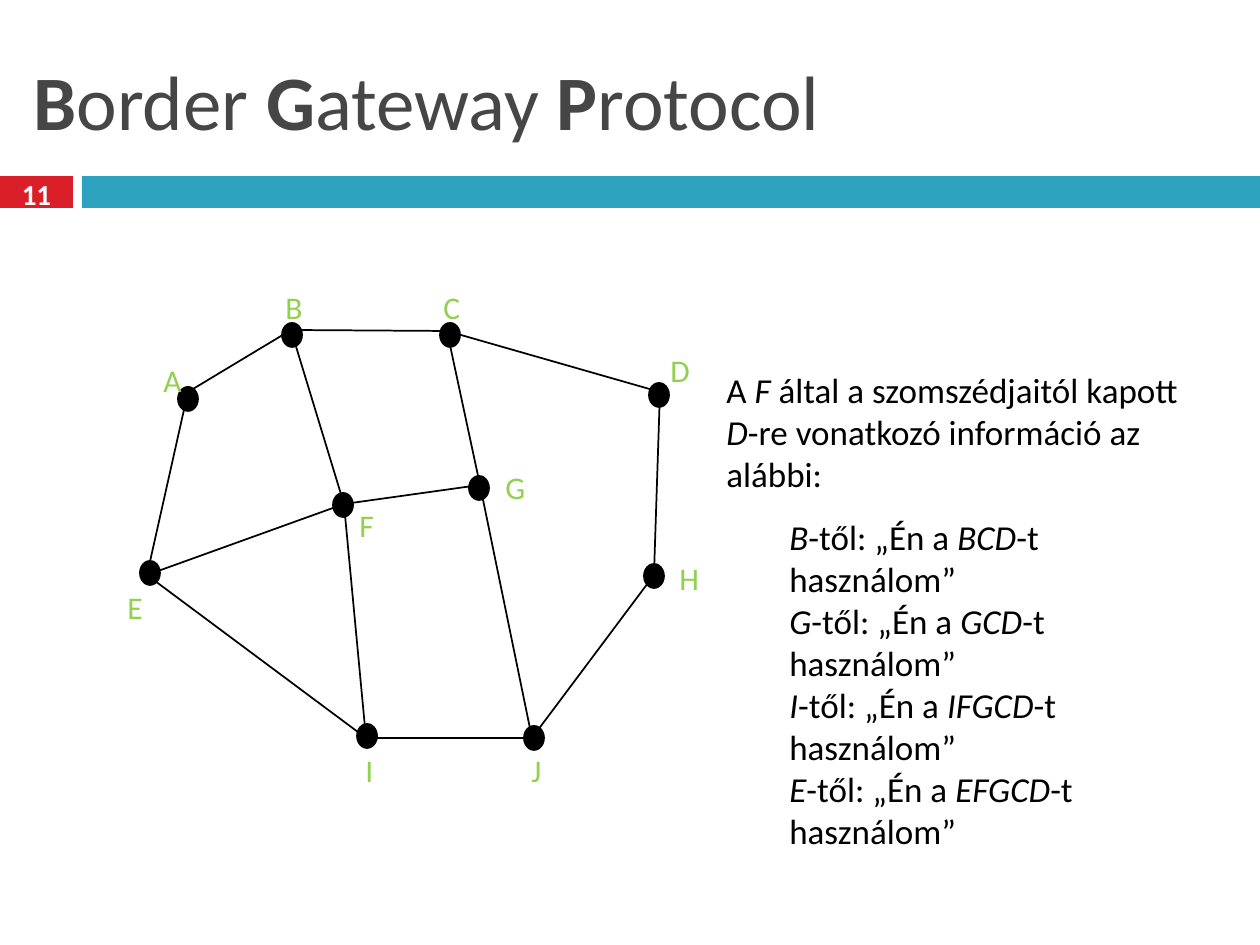
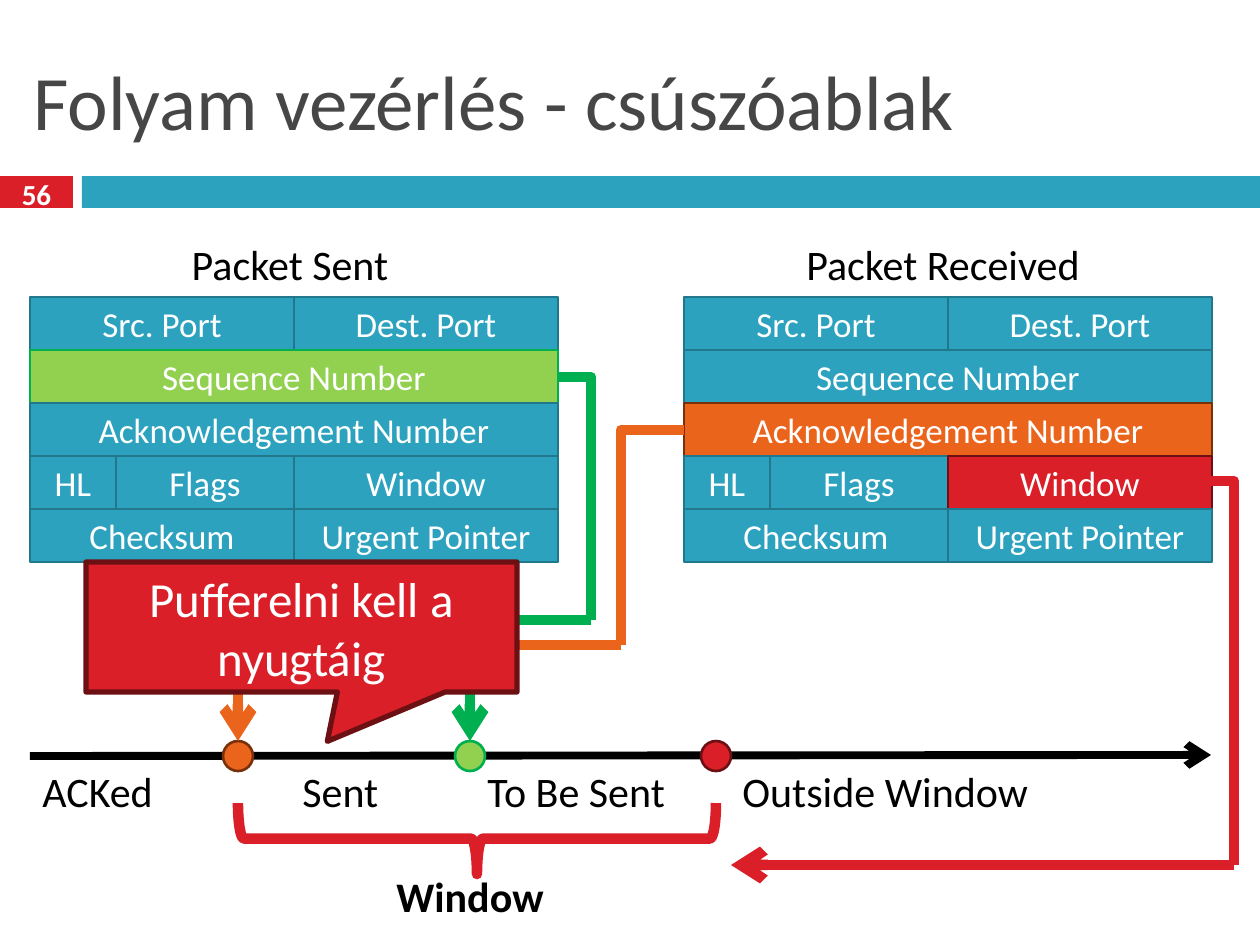
from pptx import Presentation
from pptx.dml.color import RGBColor
from pptx.enum.shapes import MSO_CONNECTOR, MSO_SHAPE
from pptx.enum.text import MSO_ANCHOR, MSO_AUTO_SIZE, PP_ALIGN
from pptx.oxml.ns import qn
from pptx.util import Emu, Pt
from lxml.etree import SubElement

EMU_PER_PX = 914400 / 126
SLIDE_WIDTH, SLIDE_HEIGHT = 1260, 945
FONT = "Calibri"
BLACK, WHITE, TITLE_GREY = "000000", "FFFFFF", "464646"
RED, DARK_RED = "DA1F28", "6D1014"
TEAL, DARK_TEAL = "2DA2BF", "21788D"
LIME, GREEN = "92D050", "00B050"
ORANGE, DARK_ORANGE = "EB641B", "78310B"

CENTERED = {"alignment": PP_ALIGN.CENTER}
TIGHT = {"word_wrap": False, "auto_size": MSO_AUTO_SIZE.SHAPE_TO_FIT_TEXT}
MIDDLE = {"word_wrap": True, "vertical_anchor": MSO_ANCHOR.MIDDLE}

# Router: line joint, dot centre, label left/top/width
ROUTERS = {
    "A": ((188, 392), (188, 399), (151, 355, 44)),
    "B": ((291, 330), (292, 335), (273, 282, 42)),
    "C": ((447, 331), (450, 335), (431, 282, 44)),
    "D": ((660, 392), (659, 395), (658, 345, 44)),
    "E": ((147, 575), (150, 573), (115, 582, 39)),
    "F": ((344, 504), (343, 505), (347, 500, 39)),
    "G": ((480, 485), (479, 488), (493, 462, 50)),
    "H": ((654, 575), (654, 576), (667, 553, 44)),
    "I": ((366, 738), (367, 736), (353, 745, 33)),
    "J": ((532, 738), (534, 738), (519, 745, 38)),
}
LINKS = "AE EI IJ EF AB BF FI BC FG CG GJ CD DH JH".split()

ROUTES = {"B": "BCD", "G": "GCD", "I": "IFGCD", "E": "EFGCD"}

# Header rows: field name and width
HEADER_ROWS = [
    [("Src. Port", 264), ("Dest. Port", 264)],
    [("Sequence Number", 528)],
    [("Acknowledgement Number", 528)],
    [("HL", 86), ("Flags", 178), ("Window", 264)],
    [("Checksum", 264), ("Urgent Pointer", 264)],
]


def px(length):
    return Emu(round(length * EMU_PER_PX))


def rgb(color):
    return RGBColor.from_string(color)


def apply(target, values):
    for name, value in values.items():
        setattr(target, name, value)


def write(shape, paragraphs, size, color, frame_format, paragraph_format=None,
          bold=False, emphasis="italic"):
    """Fill a shape with text; parts between asterisks get the emphasis."""
    frame = shape.text_frame
    apply(frame, frame_format)
    for index, text in enumerate(paragraphs):
        paragraph = frame.add_paragraph() if index else frame.paragraphs[0]
        apply(paragraph, paragraph_format or {})
        for position, part in enumerate(text.split("*")):
            if part:
                run = paragraph.add_run()
                run.text = part
                apply(run.font, {"name": FONT, "size": Pt(size), "bold": bold})
                run.font.color.rgb = rgb(color)
                if position % 2:
                    setattr(run.font, emphasis, True)


def add_text(slide, box, paragraphs, size, color, frame_format, **options):
    textbox = slide.shapes.add_textbox(*map(px, box))
    write(textbox, paragraphs, size, color, frame_format, **options)
    return textbox


def add_shape(slide, kind, box, fill=None, line=None, width=1.5):
    shape = slide.shapes.add_shape(kind, *map(px, box))
    shape.shadow.inherit = False
    if fill:
        shape.fill.solid()
        shape.fill.fore_color.rgb = rgb(fill)
    else:
        shape.fill.background()
    if line:
        shape.line.color.rgb = rgb(line)
        shape.line.width = Pt(width)
    else:
        shape.line.fill.background()
    return shape


def add_line(slide, start, end, color, width, arrow=False, bent=False):
    """Draw a line; a bent one runs across first, then down."""
    kind = MSO_CONNECTOR.ELBOW if bent else MSO_CONNECTOR.STRAIGHT
    connector = slide.shapes.add_connector(kind, *map(px, (*start, *end)))
    connector.line.color.rgb = rgb(color)
    connector.line.width = Pt(width)
    properties = connector._element.spPr
    if bent:
        properties.find(qn("a:prstGeom")).set("prst", "bentConnector2")
    if arrow:
        SubElement(properties.find(qn("a:ln")), qn("a:tailEnd"), type="arrow")
    SubElement(properties, qn("a:effectLst"))


def add_dot(slide, center, width, height, fill, line, line_width=1.5):
    x, y = center
    box = (x - width / 2, y - height / 2, width, height)
    add_shape(slide, MSO_SHAPE.OVAL, box, fill, line, line_width)


def add_titled_slide(deck, title, number):
    slide = deck.slides.add_slide(deck.slide_layouts[6])
    add_shape(slide, MSO_SHAPE.RECTANGLE, (0, 176, 73, 32), RED)
    add_shape(slide, MSO_SHAPE.RECTANGLE, (82, 176, 1178, 32), TEAL)
    add_text(slide, (21, 32, 1218, 136), [title], 44, TITLE_GREY, MIDDLE,
             emphasis="bold")
    add_text(slide, (0, 173, 73, 42), [number], 16.6, WHITE, MIDDLE,
             paragraph_format=CENTERED, bold=True)
    return slide


def add_network(slide, left, top):
    def shift(point):
        return point[0] + left, point[1] + top

    for start, end in LINKS:
        add_line(slide, shift(ROUTERS[start][0]), shift(ROUTERS[end][0]), BLACK, 1)
    for _, center, _ in ROUTERS.values():
        add_dot(slide, shift(center), 20, 24, BLACK, BLACK, 1)
    for router, (_, _, (x, y, width)) in ROUTERS.items():
        add_text(slide, (*shift((x, y)), width, 50), [router], 18, LIME, TIGHT)


def add_route_list(slide, box):
    intro = "A *F* által a szomszédjaitól kapott *D*-re vonatkozó információ az alábbi:"
    offers = [f"*{router}*-től: „Én a *{route}*-t használom”"
              for router, route in ROUTES.items()]
    routes = add_text(slide, box, [intro, *offers], 20, BLACK, {"word_wrap": True})
    _, *offer_paragraphs = routes.text_frame.paragraphs
    for paragraph in offer_paragraphs:
        paragraph.level = 1
        paragraph._p.get_or_add_pPr().set("marL", str(px(63)))
    offer_paragraphs[0].space_before = Pt(12)


def add_packet(slide, left, top, caption, caption_box, highlights):
    """Draw a header grid; highlights maps a field to its fill and line."""
    row_height = 53
    add_text(slide, caption_box, [caption], 24, BLACK, TIGHT,
             paragraph_format=CENTERED)
    for row, fields in enumerate(HEADER_ROWS):
        x = left
        for name, width in fields:
            fill, line = highlights.get(name, (TEAL, DARK_TEAL))
            field = add_shape(slide, MSO_SHAPE.RECTANGLE,
                              (x, top + row * row_height, width, row_height), fill, line)
            write(field, [name], 20, WHITE, MIDDLE, CENTERED)
            x += width


def add_timeline(slide, left, y):
    add_line(slide, (left, y), (left + 1181, y - 1), BLACK, 4.5, arrow=True)
    for label, x, width in [("ACKed", 0, 160), ("Sent", 260, 112),
                            ("To Be Sent", 445, 233), ("Outside Window", 700, 334)]:
        add_text(slide, (left + x, y + 3, width, 63), [label], 24, BLACK, TIGHT)
    for x, fill, line in [(208, ORANGE, DARK_ORANGE), (440, LIME, GREEN),
                          (686, RED, DARK_RED)]:
        add_dot(slide, (left + x, y), 30, 30, fill, line)


def add_field_arrows(slide):
    """Lead each highlighted field to its mark on the timeline."""
    for color, field_edge, corner, mark in [
            (ORANGE, (684, 430), (621, 645), (238, 741)),
            (GREEN, (558, 377), (591, 620), (470, 741))]:
        add_line(slide, field_edge, corner, color, 6, bent=True)
        add_line(slide, corner, mark, color, 6, arrow=True, bent=True)
    add_line(slide, (1211, 481), (1234, 865), RED, 6, bent=True)
    add_line(slide, (1234, 865), (731, 865), RED, 6, arrow=True)


def add_window_brace(slide, left, top, width, height):
    upright = (left + (width - height) / 2, top + (height - width) / 2, height, width)
    brace = add_shape(slide, MSO_SHAPE.LEFT_BRACE, upright, line=RED, width=6)
    brace.rotation = 270
    add_text(slide, (left + 138, top + 61, 188, 81), ["Window"], 24, BLACK, TIGHT,
             paragraph_format=CENTERED, bold=True)


def add_buffer_callout(slide, box):
    callout = add_shape(slide, MSO_SHAPE.RECTANGULAR_CALLOUT, box, RED, DARK_RED, 3)
    callout.adjustments[0] = 0.06
    callout.adjustments[1] = 0.88
    write(callout, ["Pufferelni kell a nyugtáig"], 28, WHITE, MIDDLE, CENTERED)


def build_gateway_slide(deck):
    slide = add_titled_slide(deck, "*B*order *G*ateway *P*rotocol", "11")
    add_network(slide, 0, 0)
    add_route_list(slide, (714, 362, 479, 585))


def build_window_slide(deck):
    slide = add_titled_slide(deck, "Folyam vezérlés - csúszóablak", "56")
    add_packet(slide, 30, 297, "Packet Sent", (163, 232, 254, 63),
               {"Sequence Number": (LIME, GREEN)})
    add_packet(slide, 684, 297, "Packet Received", (771, 232, 344, 63),
               {"Acknowledgement Number": (ORANGE, DARK_ORANGE),
                "Window": (RED, DARK_RED)})
    add_timeline(slide, 30, 756)
    add_field_arrows(slide)
    add_window_brace(slide, 238, 803, 478, 71)
    add_buffer_callout(slide, (86, 562, 431, 130))


def main():
    deck = Presentation()
    deck.slide_width, deck.slide_height = px(SLIDE_WIDTH), px(SLIDE_HEIGHT)
    build_gateway_slide(deck)
    build_window_slide(deck)
    deck.save("out.pptx")


if __name__ == "__main__":
    main()
